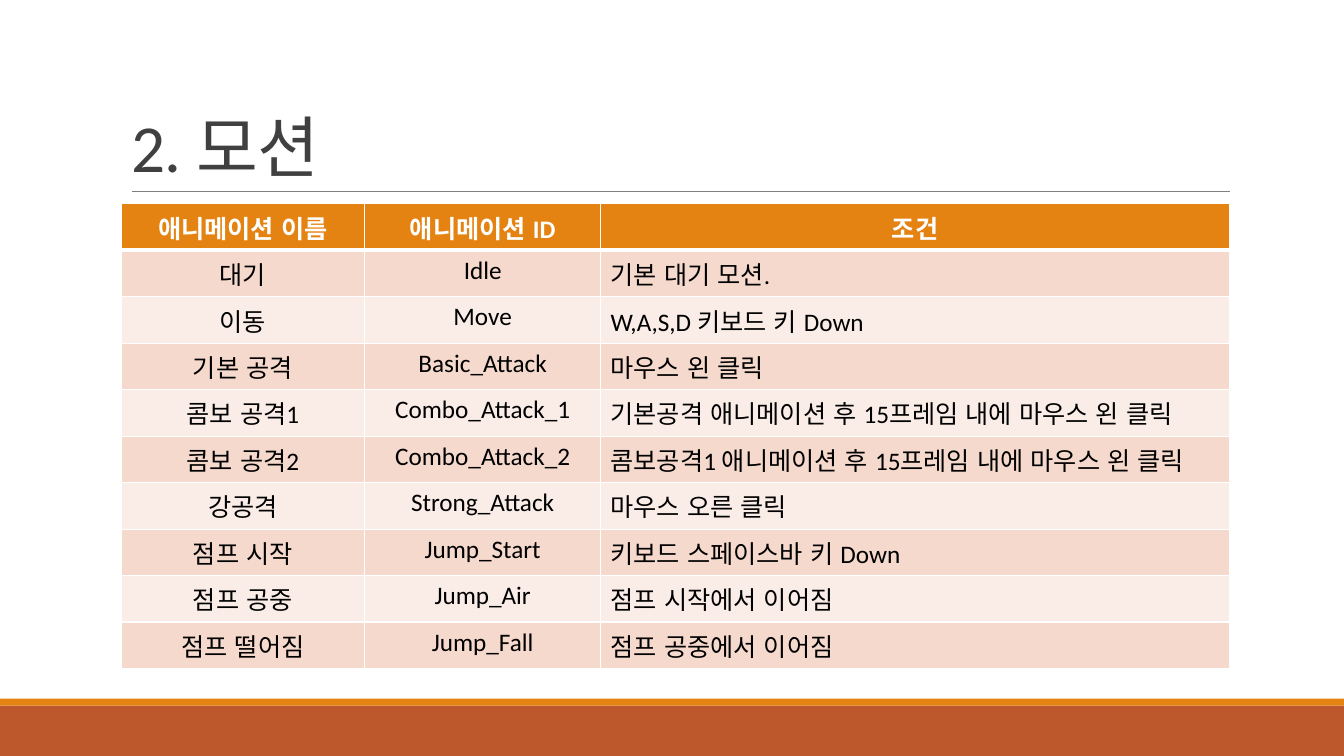
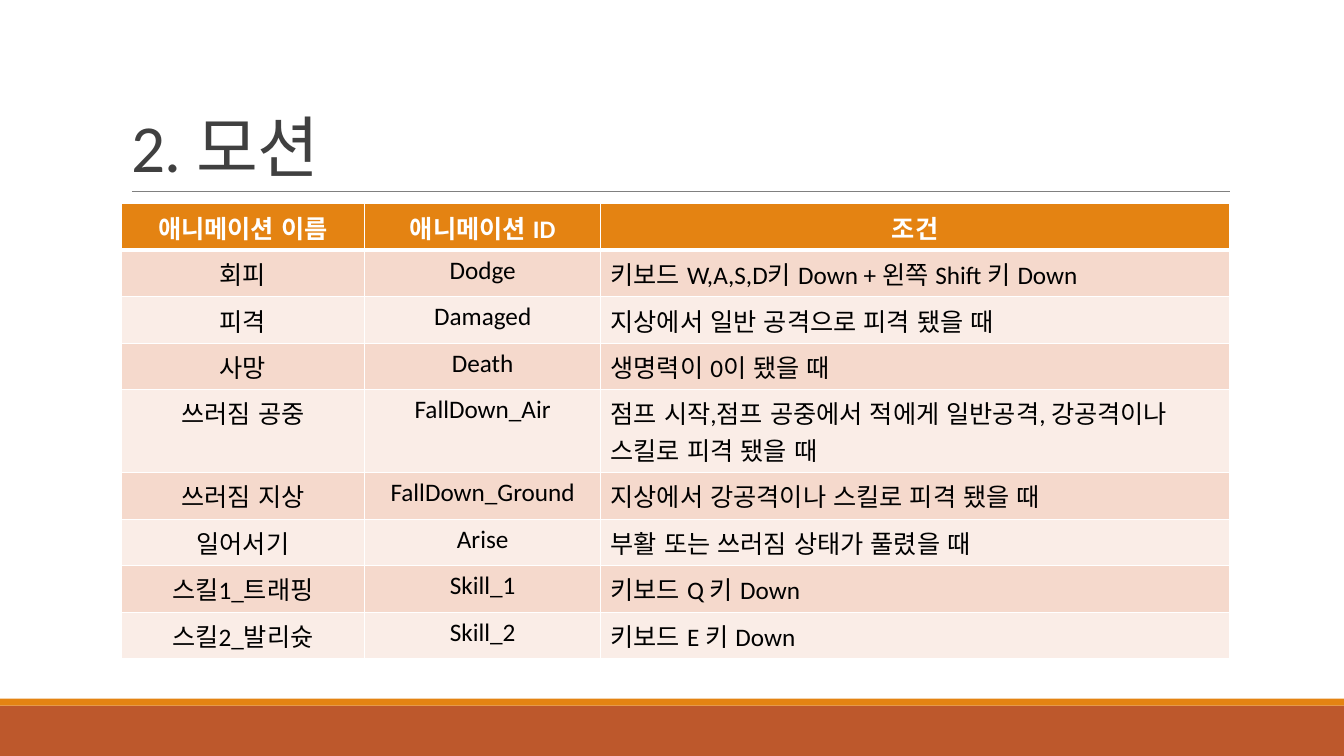
from lxml import etree
from pptx import Presentation
from pptx.dml.color import RGBColor
from pptx.enum import lang, shapes, text
from pptx.oxml.ns import qn
from pptx.util import Pt

ORANGE = RGBColor(0xE4, 0x83, 0x12)
RUST = RGBColor(0xBD, 0x58, 0x2C)
ROW_TINTS = (RGBColor(0xF5, 0xD9, 0xCC), RGBColor(0xFA, 0xED, 0xE7))
TITLE_GRAY = RGBColor(0x40, 0x40, 0x40)
RULE_GRAY = RGBColor(0x80, 0x80, 0x80)
WHITE = RGBColor(0xFF, 0xFF, 0xFF)
BLACK = RGBColor(0, 0, 0)

FONT = "Calibri"
SLIDE_W, SLIDE_H = 960, 540
LEFT, CONTENT_W = 86.4, 792
TITLE_LEFT, TITLE_TOP, RULE_Y = 87, 22.3, 136.8
TABLE_TOP = 145.6
ROW_H, TWO_LINE_ROW_H = 33.2, 59.3
LINE_CHARACTERS = 35
COLUMN_WIDTHS = (174.2, 168.4, 449.4)
FOOTER_TOP, STRIPE_H = 504, 5

TITLE = "2. 모션"
HEADER = ("애니메이션 이름", "애니메이션 ID", "조건")
BASIC_MOTIONS = (
    ("대기", "Idle", "기본 대기 모션."),
    ("이동", "Move", "W,A,S,D 키보드 키 Down"),
    ("기본 공격", "Basic_Attack", "마우스 왼 클릭"),
    ("콤보 공격1", "Combo_Attack_1", "기본공격 애니메이션 후 15프레임 내에 마우스 왼 클릭"),
    ("콤보 공격2", "Combo_Attack_2", "콤보공격1 애니메이션 후 15프레임 내에 마우스 왼 클릭"),
    ("강공격", "Strong_Attack", "마우스 오른 클릭"),
    ("점프 시작", "Jump_Start", "키보드 스페이스바 키 Down"),
    ("점프 공중", "Jump_Air", "점프 시작에서 이어짐"),
    ("점프 떨어짐", "Jump_Fall", "점프 공중에서 이어짐"),
)
REACTION_MOTIONS = (
    ("회피", "Dodge", "키보드 W,A,S,D키 Down + 왼쪽 Shift 키 Down"),
    ("피격", "Damaged", "지상에서 일반 공격으로 피격 됐을 때"),
    ("사망", "Death", "생명력이 0이 됐을 때"),
    ("쓰러짐 공중", "FallDown_Air",
     "점프 시작,점프 공중에서 적에게 일반공격, 강공격이나 스킬로 피격 됐을 때"),
    ("쓰러짐 지상", "FallDown_Ground", "지상에서 강공격이나 스킬로 피격 됐을 때"),
    ("일어서기", "Arise", "부활 또는 쓰러짐 상태가 풀렸을 때"),
    ("스킬1_트래핑", "Skill_1", "키보드 Q 키 Down"),
    ("스킬2_발리슛", "Skill_2", "키보드 E 키 Down"),
)


def add_run(paragraph, wording, size, color, bold=False):
    run = paragraph.add_run()
    run.text = wording
    font = run.font
    font.name, font.size, font.bold = FONT, Pt(size), bold
    font.color.rgb = color
    font.language_id = lang.MSO_LANGUAGE_ID.KOREAN
    return run


def add_band(slide, top, height, color):
    band = slide.shapes.add_shape(shapes.MSO_SHAPE.RECTANGLE,
                                  0, Pt(top), Pt(SLIDE_W), Pt(height))
    band.shadow.inherit = False
    band.fill.solid()
    band.fill.fore_color.rgb = color
    band.line.fill.background()


def add_title_rule(slide):
    rule = slide.shapes.add_connector(shapes.MSO_CONNECTOR.STRAIGHT,
                                      Pt(94.3), Pt(RULE_Y), Pt(878.6), Pt(RULE_Y))
    rule.line.color.rgb = RULE_GRAY
    rule.line.width = Pt(0.5)
    etree.SubElement(rule.element.spPr, qn("a:effectLst"))


def add_title(slide, wording):
    title = slide.shapes.add_textbox(Pt(TITLE_LEFT), Pt(TITLE_TOP),
                                     Pt(CONTENT_W), Pt(RULE_Y - TITLE_TOP))
    frame = title.text_frame
    frame.word_wrap = True
    frame.vertical_anchor = text.MSO_ANCHOR.BOTTOM
    paragraph = frame.paragraphs[0]
    paragraph.line_spacing = 0.85
    run = add_run(paragraph, wording, 48, TITLE_GRAY)
    run.font._element.set("spc", "-50")


def set_borders(cell, top, bottom):
    """Draw white borders; the side borders are 1 pt wide."""
    properties = cell._tc.get_or_add_tcPr()
    for side, width in (("L", 1), ("R", 1), ("T", top), ("B", bottom)):
        border = etree.SubElement(properties, qn(f"a:ln{side}"), w=str(Pt(width)))
        fill = etree.SubElement(border, qn("a:solidFill"))
        etree.SubElement(fill, qn("a:srgbClr"), val=str(WHITE))


def fill_cell(cell, wording, row, column):
    is_header = row == 0
    set_borders(cell, top=3 if row == 1 else 1, bottom=3 if is_header else 1)
    cell.fill.solid()
    cell.fill.fore_color.rgb = ORANGE if is_header else ROW_TINTS[(row - 1) % 2]
    paragraph = cell.text_frame.paragraphs[0]
    if is_header or column < 2:
        paragraph.alignment = text.PP_ALIGN.CENTER
    add_run(paragraph, wording, 18, WHITE if is_header else BLACK, is_header)


def row_height(row):
    condition = row[-1]
    return TWO_LINE_ROW_H if len(condition) > LINE_CHARACTERS else ROW_H


def add_motion_table(slide, motions):
    rows = (HEADER, *motions)
    heights = [row_height(row) for row in rows]
    table = slide.shapes.add_table(len(rows), len(HEADER), Pt(LEFT), Pt(TABLE_TOP),
                                   Pt(CONTENT_W), Pt(sum(heights))).table
    table.horz_banding = False
    for column, width in zip(table.columns, COLUMN_WIDTHS):
        column.width = Pt(width)
    for r, row in enumerate(rows):
        table.rows[r].height = Pt(heights[r])
        for c, wording in enumerate(row):
            fill_cell(table.cell(r, c), wording, r, c)


def add_motion_slide(prs, motions):
    slide = prs.slides.add_slide(prs.slide_layouts[6])
    add_band(slide, FOOTER_TOP, SLIDE_H - FOOTER_TOP, RUST)
    add_band(slide, FOOTER_TOP - STRIPE_H, STRIPE_H, ORANGE)
    add_title_rule(slide)
    add_title(slide, TITLE)
    add_motion_table(slide, motions)


def main():
    prs = Presentation()
    prs.slide_width, prs.slide_height = Pt(SLIDE_W), Pt(SLIDE_H)
    for motions in (BASIC_MOTIONS, REACTION_MOTIONS):
        add_motion_slide(prs, motions)
    prs.save("out.pptx")


if __name__ == "__main__":
    main()
